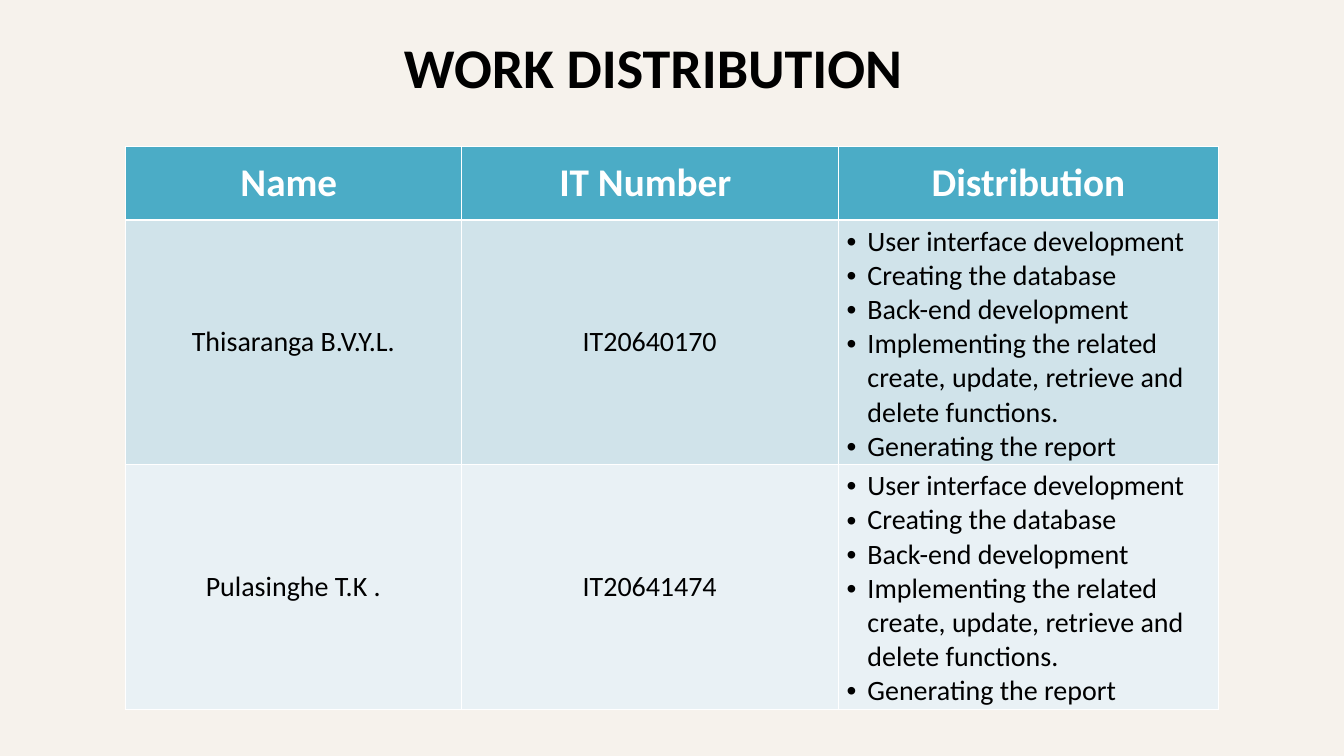
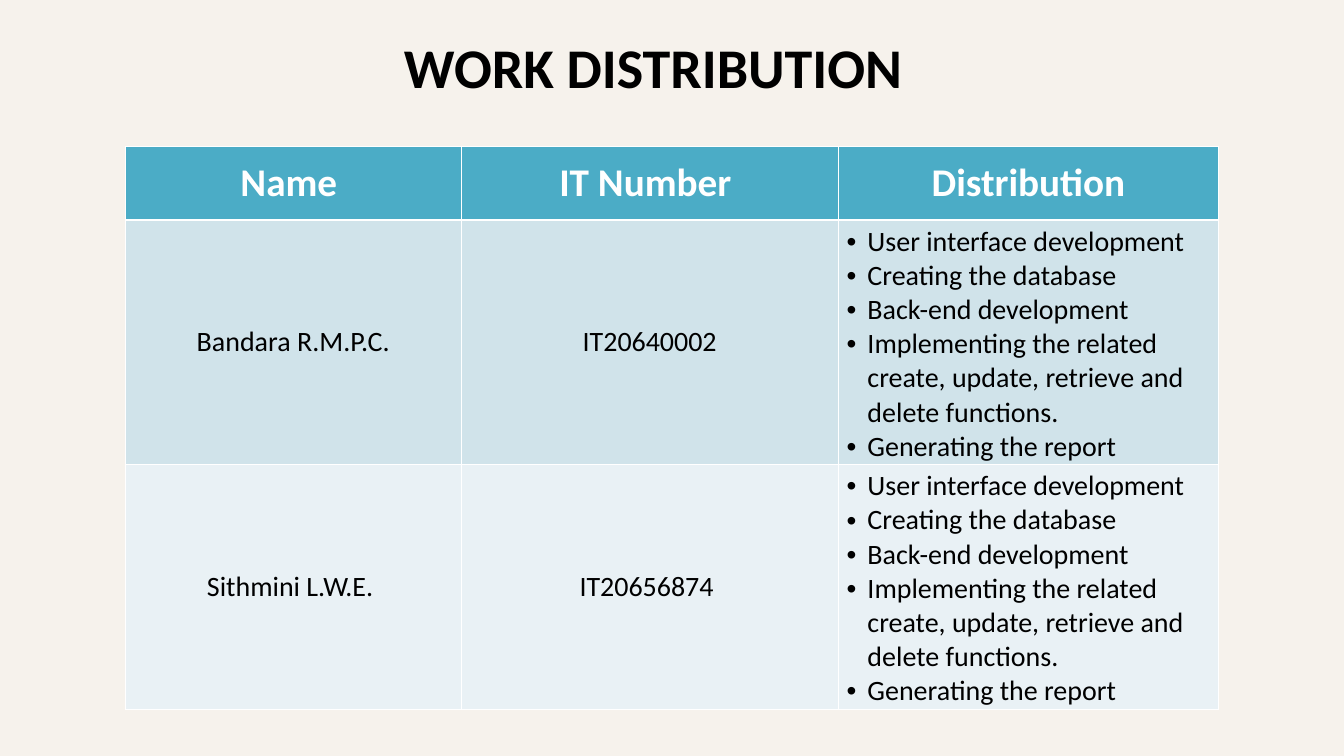
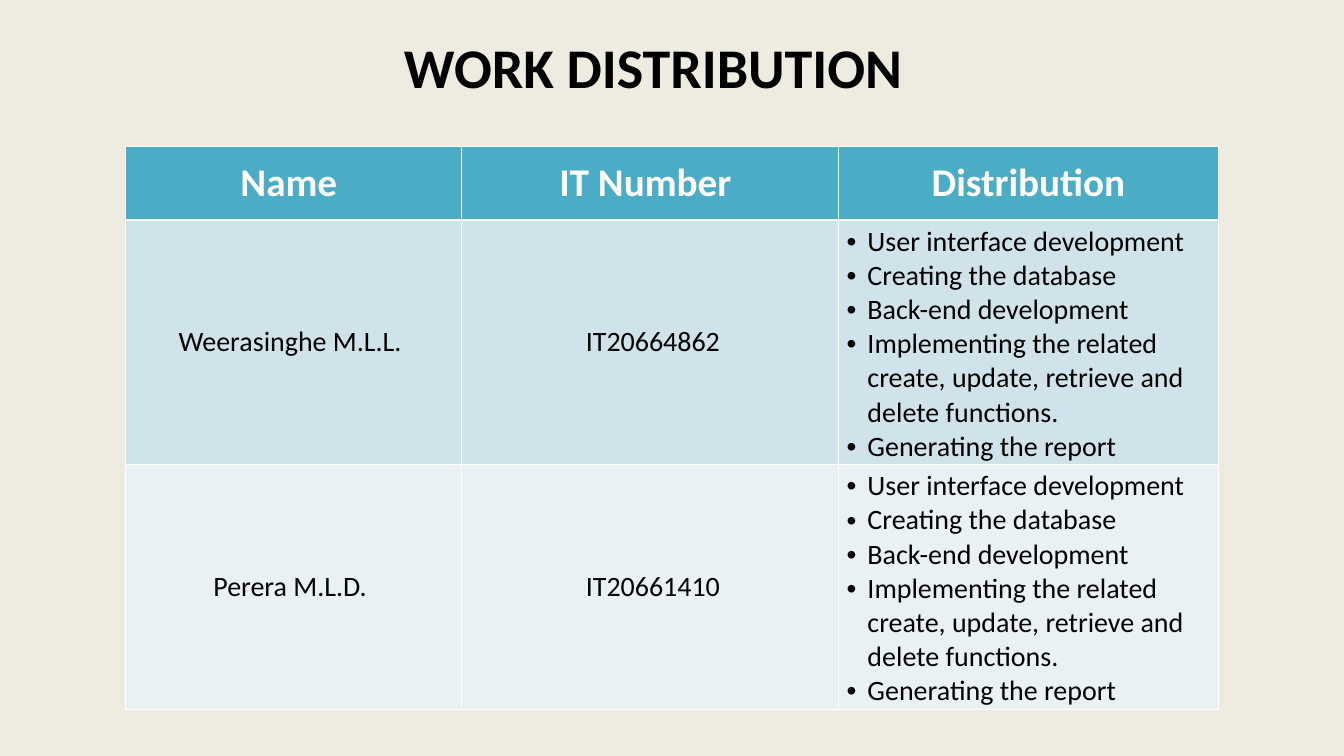
from pptx import Presentation
from pptx.dml.color import RGBColor
from pptx.enum.text import MSO_ANCHOR, PP_ALIGN
from pptx.oxml.ns import qn
from pptx.util import Inches, Pt
from lxml import etree

MID = MSO_ANCHOR.MIDDLE
LEFT = PP_ALIGN.LEFT
CENTER = PP_ALIGN.CENTER

FONT = "Calibri"
COLORS = {
    "cream": "F6F2EC",
    "sand": "EEECE1",
    "teal": "4BACC6",
    "mist": "D0E3EA",
    "pale": "E9F1F5",
    "black": "000000",
    "white": "FFFFFF",
}

TITLE = "WORK DISTRIBUTION"
HEADS = ["Name ", "IT Number ", "Distribution"]
TASKS = [
    "User interface development",
    "Creating the database",
    "Back-end development",
    "Implementing the related create, update, retrieve and delete functions.",
    "Generating the report",
]
TEAMS = [
    ("cream", [("Thisaranga B.V.Y.L.", "IT20640170"),
               ("Pulasinghe T.K .", "IT20641474")]),
    ("cream", [("Bandara R.M.P.C.", "IT20640002"),
               ("Sithmini L.W.E. ", "IT20656874 ")]),
    ("sand", [("Weerasinghe M.L.L. ", " IT20664862"),
              ("Perera M.L.D. ", " IT20661410")]),
]


def color(name):
    return RGBColor.from_string(COLORS[name])


def bullet(para, indent):
    props = para._p.get_or_add_pPr()
    props.set("marL", str(indent))
    props.set("indent", str(-indent))
    etree.SubElement(props, qn("a:buFont"), typeface="Arial")
    etree.SubElement(props, qn("a:buChar"), char="•")


def write(frame, text, size=30, bold=False, ink="black", align=CENTER, indent=None):
    lines = [text] if isinstance(text, str) else text
    frame.word_wrap = True
    for i, line in enumerate(lines):
        para = frame.add_paragraph() if i else frame.paragraphs[0]
        para.alignment = align
        if indent:
            bullet(para, indent)
        run = para.add_run()
        run.text = line
        run.font.name = FONT
        run.font.size = Pt(size)
        run.font.bold = bold
        run.font.color.rgb = color(ink)


def pad(item, side, edge):
    item.margin_left = item.margin_right = Inches(side)
    item.margin_top = item.margin_bottom = Inches(edge)
    item.vertical_anchor = MID


class Deck:
    def __init__(self, width, height):
        self.file = Presentation()
        self.file.slide_width = Inches(width)
        self.file.slide_height = Inches(height)
        self.slide = None

    def x(self, share):
        return int(self.file.slide_width * share / 100)

    def y(self, share):
        return int(self.file.slide_height * share / 100)

    def page(self, back):
        self.slide = self.file.slides.add_slide(self.file.slide_layouts[6])
        fill = self.slide.background.fill
        fill.solid()
        fill.fore_color.rgb = color(back)

    def title(self, text):
        box = self.slide.shapes.add_textbox(
            self.x(5.2), self.y(1.96), self.x(86.8), self.y(13.69))
        pad(box.text_frame, 0.15, 0.07)
        write(box.text_frame, text, size=60, bold=True)

    def cell(self, cell, text, fill, top=1, base=1, **style):
        pad(cell, 0.12, 0.07)
        write(cell.text_frame, text, **style)
        props = cell._tc.get_or_add_tcPr()
        for side, width in zip("LRTB", (1, 1, top, base)):
            line = etree.SubElement(props, qn("a:ln" + side), w=str(Pt(width)))
            paint = etree.SubElement(line, qn("a:solidFill"))
            etree.SubElement(paint, qn("a:srgbClr"), val=COLORS["white"])
        cell.fill.solid()
        cell.fill.fore_color.rgb = color(fill)

    def table(self, team):
        wide = [24.95, 28.1, 28.25]
        high = [9.69] + [32.36] * len(team)
        grid = self.slide.shapes.add_table(
            len(high), len(wide), self.x(9.35), self.y(19.38),
            self.x(sum(wide)), self.y(sum(high))).table
        grid.horz_banding = False
        for col, share in zip(grid.columns, wide):
            col.width = self.x(share)
        for row, share in zip(grid.rows, high):
            row.height = self.y(share)
        for i, head in enumerate(HEADS):
            self.cell(grid.cell(0, i), head, "teal", base=3,
                      size=42, bold=True, ink="white")
        for i, (name, code) in enumerate(team, 1):
            look = {"fill": "mist" if i % 2 else "pale", "top": 3 if i == 1 else 1}
            self.cell(grid.cell(i, 0), name, **look)
            self.cell(grid.cell(i, 1), code, **look)
            self.cell(grid.cell(i, 2), TASKS, align=LEFT, indent=Inches(0.31), **look)


def main():
    deck = Deck(20, 11.25)
    for back, team in TEAMS:
        deck.page(back)
        deck.title(TITLE)
        deck.table(team)
    deck.file.save("out.pptx")


if __name__ == "__main__":
    main()
